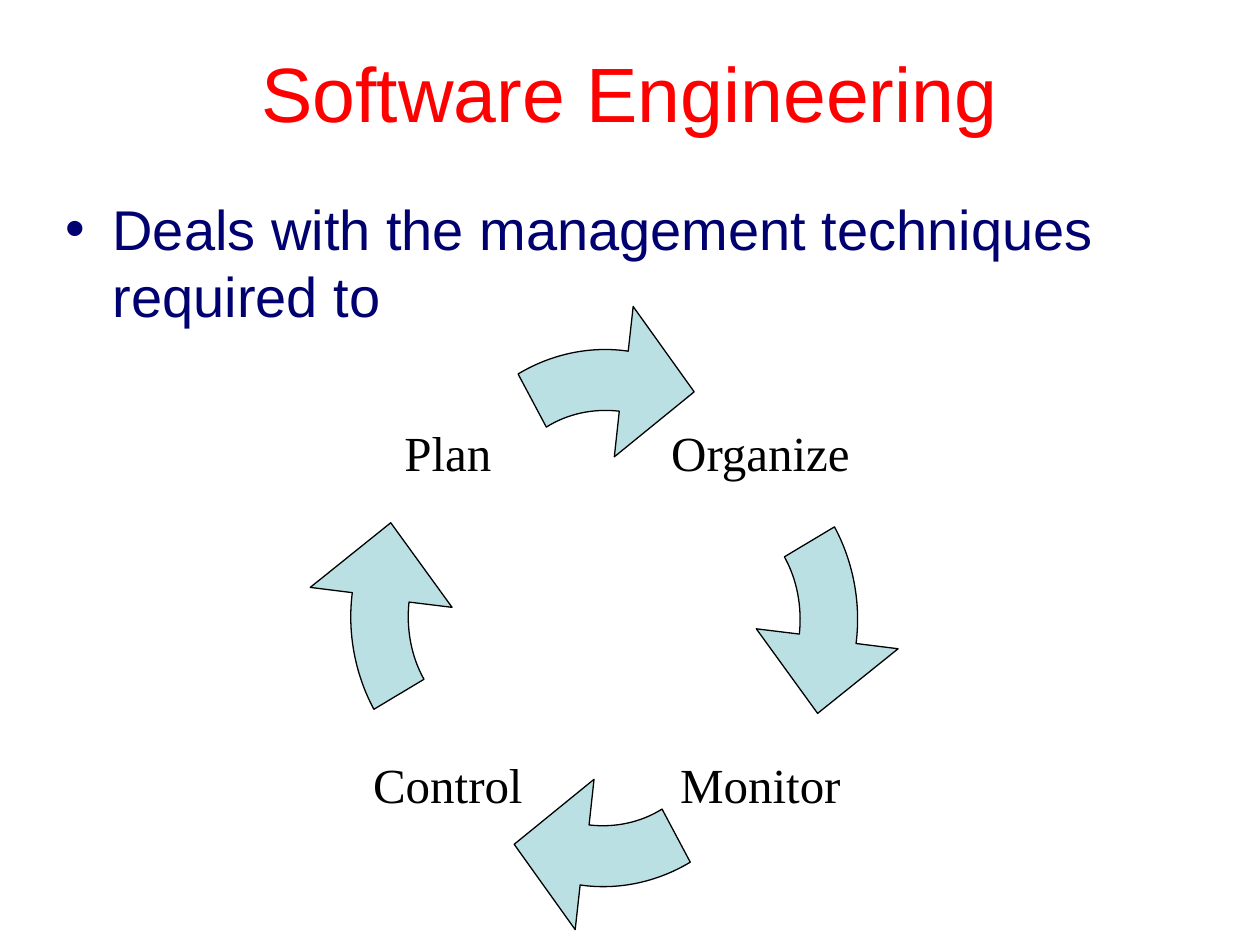
from lxml import etree
from pptx import Presentation
from pptx.dml.color import RGBColor
from pptx.enum.shapes import MSO_SHAPE
from pptx.enum.text import MSO_ANCHOR, PP_ALIGN
from pptx.oxml.ns import qn
from pptx.util import Cm, Pt

RED = RGBColor(0xFF, 0x00, 0x00)
NAVY = RGBColor(0x01, 0x00, 0x70)
BLACK = RGBColor(0x00, 0x00, 0x00)
PALE_TEAL = RGBColor(0xBB, 0xE0, 0xE3)
CENTER = PP_ALIGN.CENTER
MIDDLE = MSO_ANCHOR.MIDDLE
RECTANGLE = MSO_SHAPE.RECTANGLE

# Arrow outline in cm within its ring; each arc is one cubic Bézier curve
RING_WIDTH, RING_HEIGHT = 6.93, 7.34
INNER_ARC = [(3.77, 1.23), (3.25, 1.17), (2.73, 1.28), (2.3, 1.55)]
OUTER_ARC = [(1.73, 0.48), (2.41, 0.07), (3.2, -0.09), (3.95, 0.02)]
ARROWHEAD = [(4.05, -0.88), (5.28, 0.84), (3.67, 2.15)]
RING_OFFSETS = [(0, -1.73), (1.63, 0), (0, 1.73), (-1.63, 0)]
STAGES = [("Plan", -1, -1), ("Organize", 1, -1), ("Monitor", 1, 1), ("Control", -1, 1)]


def write_text(frame, text, font_name, size, color):
    run = frame.paragraphs[0].add_run()
    run.text = text
    run.font.name = font_name
    run.font.size = Pt(size)
    run.font.color.rgb = color


def add_text_frame(slide, box):
    frame = slide.shapes.add_textbox(*(Cm(length) for length in box)).text_frame
    frame.word_wrap = True
    return frame


def add_title(slide, box):
    frame = add_text_frame(slide, box)
    frame.vertical_anchor = MIDDLE
    frame.paragraphs[0].alignment = CENTER
    write_text(frame, "Software Engineering", "Arial", 44, RED)


def add_statement(slide, box):
    frame = add_text_frame(slide, box)
    paragraph = frame.paragraphs[0]
    properties = paragraph._p.get_or_add_pPr()
    properties.set("marL", str(Cm(0.95)))
    properties.set("indent", str(Cm(-0.95)))
    etree.SubElement(properties, qn("a:buFont")).set("typeface", "Arial")
    etree.SubElement(properties, qn("a:buChar")).set("char", "•")
    paragraph.line_spacing = Pt(38.4)
    write_text(frame, "Deals with the management techniques required to",
               "Arial", 32, NAVY)


def curve_segments(segments):
    """Turn three line segments into one cubic Bézier curve."""
    curve = etree.Element(qn("a:cubicBezTo"))
    segments[0].addprevious(curve)
    for segment in segments:
        curve.append(segment[0])
        segment.getparent().remove(segment)


def add_arrow(slide, center_x, center_y, quarter_turns):
    """Draw the arrow in a ring around the centre, turned clockwise."""
    points = [(Cm(x), Cm(y)) for x, y in INNER_ARC + OUTER_ARC + ARROWHEAD]
    builder = slide.shapes.build_freeform(*points[0])
    builder.add_line_segments(points[1:], close=True)
    arrow = builder.convert_to_shape()

    outline = next(arrow._element.iter(qn("a:path")))
    outline.set("w", str(Cm(RING_WIDTH)))
    outline.set("h", str(Cm(RING_HEIGHT)))
    for node, (x, y) in zip(outline.iter(qn("a:pt")), points):
        node.set("x", str(x))
        node.set("y", str(y))
    lines = outline.findall(qn("a:lnTo"))
    curve_segments(lines[0:3])
    curve_segments(lines[4:7])

    width, height = RING_WIDTH, RING_HEIGHT
    if quarter_turns % 2:
        width, height = height, width
    arrow.left, arrow.top = Cm(center_x - width / 2), Cm(center_y - height / 2)
    arrow.width, arrow.height = Cm(width), Cm(height)
    arrow.rotation = 90 * quarter_turns
    arrow.shadow.inherit = False
    arrow.fill.solid()
    arrow.fill.fore_color.rgb = PALE_TEAL
    arrow.line.color.rgb = BLACK
    arrow.line.width = Pt(0.75)


def add_stage(slide, center_x, center_y, name):
    width, height = 2.62, 2.77
    label = slide.shapes.add_shape(RECTANGLE, Cm(center_x - width / 2),
                                   Cm(center_y - height / 2), Cm(width), Cm(height))
    label.shadow.inherit = False
    label.fill.background()
    label.line.fill.background()
    frame = label.text_frame
    frame.word_wrap = False
    frame.vertical_anchor = MIDDLE
    frame.margin_left = frame.margin_right = 0
    frame.margin_top = frame.margin_bottom = 0
    frame.paragraphs[0].alignment = CENTER
    write_text(frame, name, "Times New Roman", 28, BLACK)


def add_cycle(slide, box):
    left, top, width, height = box
    center_x, center_y = left + width / 2, top + height / 2
    for turns, (offset_x, offset_y) in enumerate(RING_OFFSETS):
        add_arrow(slide, center_x + offset_x, center_y + offset_y, turns)
    for name, side, level in STAGES:
        add_stage(slide, center_x + side * 3.15, center_y + level * 3.34, name)


def main():
    presentation = Presentation()
    presentation.slide_width, presentation.slide_height = Cm(25.4), Cm(19.05)
    slide = presentation.slides.add_slide(presentation.slide_layouts[6])
    add_title(slide, (1.9, 0.25, 21.6, 3.18))
    add_statement(slide, (1.07, 3.8, 21.6, 13.54))
    add_cycle(slide, (6.24, 6.17, 11.88, 12.58))
    presentation.save("out.pptx")


if __name__ == "__main__":
    main()
